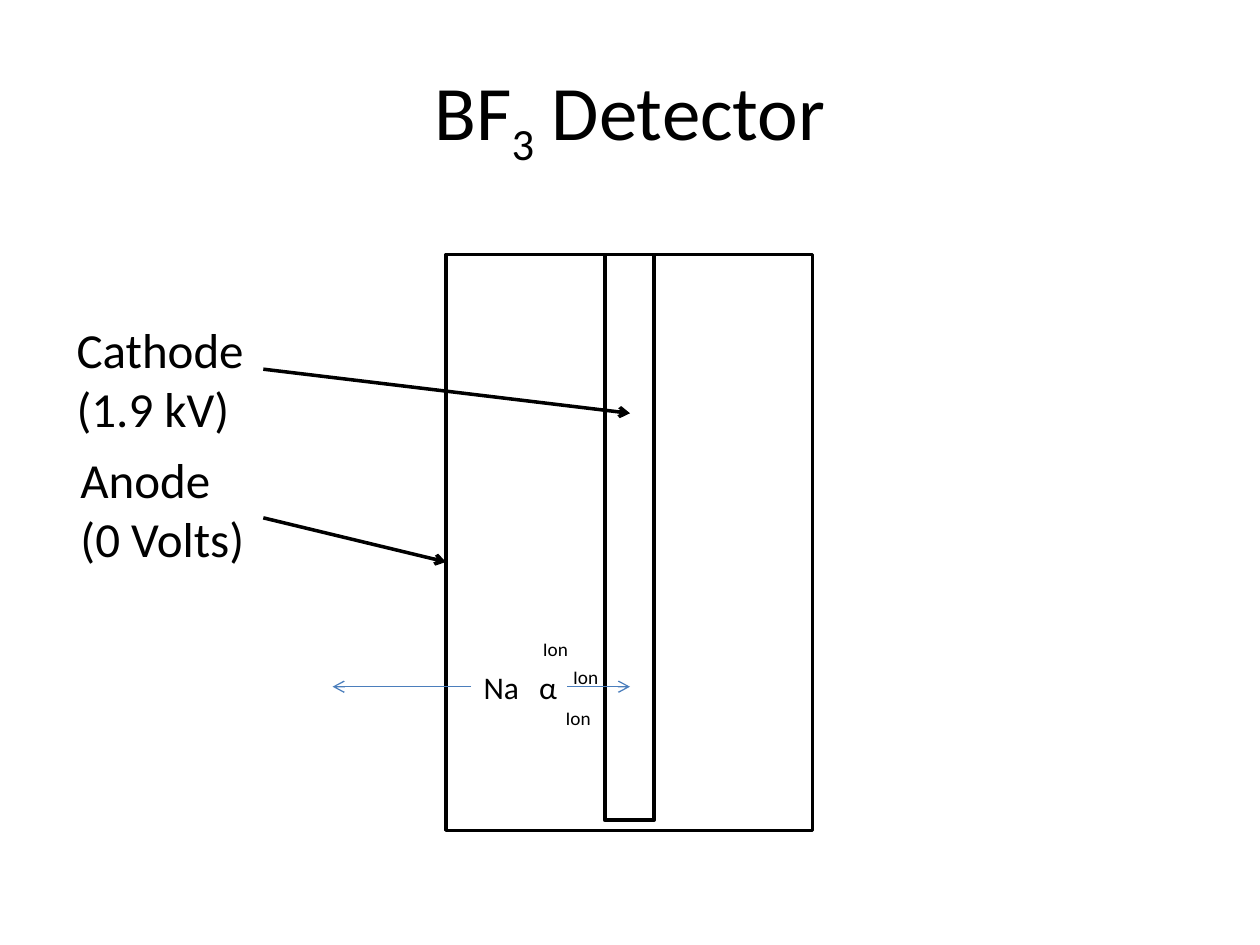
from lxml import etree
from pptx import Presentation
from pptx.dml.color import RGBColor
from pptx.enum.shapes import MSO_CONNECTOR, MSO_SHAPE
from pptx.enum.text import MSO_ANCHOR, MSO_AUTO_SIZE, PP_ALIGN
from pptx.oxml.ns import qn
from pptx.util import Inches, Pt

RECTANGLE = MSO_SHAPE.RECTANGLE
STRAIGHT = MSO_CONNECTOR.STRAIGHT
MIDDLE = MSO_ANCHOR.MIDDLE
CENTER, LEFT = PP_ALIGN.CENTER, PP_ALIGN.LEFT
GROW = MSO_AUTO_SIZE.SHAPE_TO_FIT_TEXT
LEFT_SIDE = 1
FONT = "Calibri"
COLORS = {"ink": "000000", "paper": "FFFFFF", "track": "4B7EBC"}


def color(name):
    return RGBColor.from_string(COLORS[name])


def add_span(para, text, size=18, baseline=0):
    """Append a run; baseline is a percentage, negative for subscript."""
    span = para.add_run()
    span.text = text
    span.font.name = FONT
    span.font.size = Pt(size)
    span.font.color.rgb = color("ink")
    if baseline:
        span._r.get_or_add_rPr().set("baseline", str(baseline * 1000))


class DetectorSlide:
    def __init__(self, deck):
        self.page = deck.slides.add_slide(deck.slide_layouts[5])

    def title(self, *parts, size=44):
        """Fill the title from (text, baseline) parts."""
        box = self.page.shapes.title
        box.left, box.top = Inches(0.5), Inches(0.3)
        box.width, box.height = Inches(9), Inches(1.25)
        box.text_frame.vertical_anchor = MIDDLE
        para = box.text_frame.paragraphs[0]
        para.alignment = CENTER
        for text, baseline in parts:
            add_span(para, text, size=size, baseline=baseline)

    def electrode(self, left, top, width, height):
        box = self.page.shapes.add_shape(
            RECTANGLE, Inches(left), Inches(top), Inches(width), Inches(height))
        box.shadow.inherit = False
        box.fill.solid()
        box.fill.fore_color.rgb = color("paper")
        box.line.color.rgb = color("ink")
        box.line.width = Pt(2)

    def label(self, lines, left, top, width, height, size=18):
        box = self.page.shapes.add_textbox(
            Inches(left), Inches(top), Inches(width), Inches(height))
        frame = box.text_frame
        frame.word_wrap = True
        frame.auto_size = GROW
        for index, text in enumerate(lines):
            para = frame.add_paragraph() if index else frame.paragraphs[0]
            para.alignment = LEFT
            add_span(para, text, size=size)
        return box

    def arrow(self, start, end, line_color="ink", width=2):
        arrow = self.page.shapes.add_connector(
            STRAIGHT, *(Inches(value) for value in (*start, *end)))
        arrow.line.color.rgb = color(line_color)
        arrow.line.width = Pt(width)
        etree.SubElement(arrow.line._get_or_add_ln(), qn("a:tailEnd"), type="arrow")
        etree.SubElement(arrow._element.spPr, qn("a:effectLst"))
        return arrow


def main():
    deck = Presentation()
    deck.slide_width, deck.slide_height = Inches(10), Inches(7.5)
    slide = DetectorSlide(deck)
    slide.title(("BF", 0), ("3", -25), (" Detector", 0))

    slide.electrode(3.54, 2.02, 2.91, 4.57)
    slide.electrode(4.8, 2.02, 0.39, 4.49)

    slide.label(["Cathode", "(1.9 kV)"], 0.51, 2.49, 1.73, 1.04, size=28)
    slide.label(["Anode", "(0 Volts)"], 0.54, 3.52, 1.73, 1.04, size=28)
    slide.arrow((2.09, 4.11), (3.54, 4.46))
    slide.arrow((2.09, 2.93), (5, 3.28))

    sodium = slide.label(["Na"], 3.74, 5.25, 0.63, 0.4)
    slide.label(["α"], 4.18, 5.25, 0.63, 0.4)
    recoil = slide.arrow((3.74, 5.45), (2.64, 5.45), line_color="track", width=0.75)
    recoil.begin_connect(sodium, LEFT_SIDE)
    slide.arrow((4.5, 5.45), (5, 5.45), line_color="track", width=0.75)

    for left, top in ((4.21, 5.01), (4.39, 5.56), (4.45, 5.23)):
        slide.label(["Ion"], left, top, 0.43, 0.29, size=11)

    deck.save("out.pptx")


if __name__ == "__main__":
    main()
